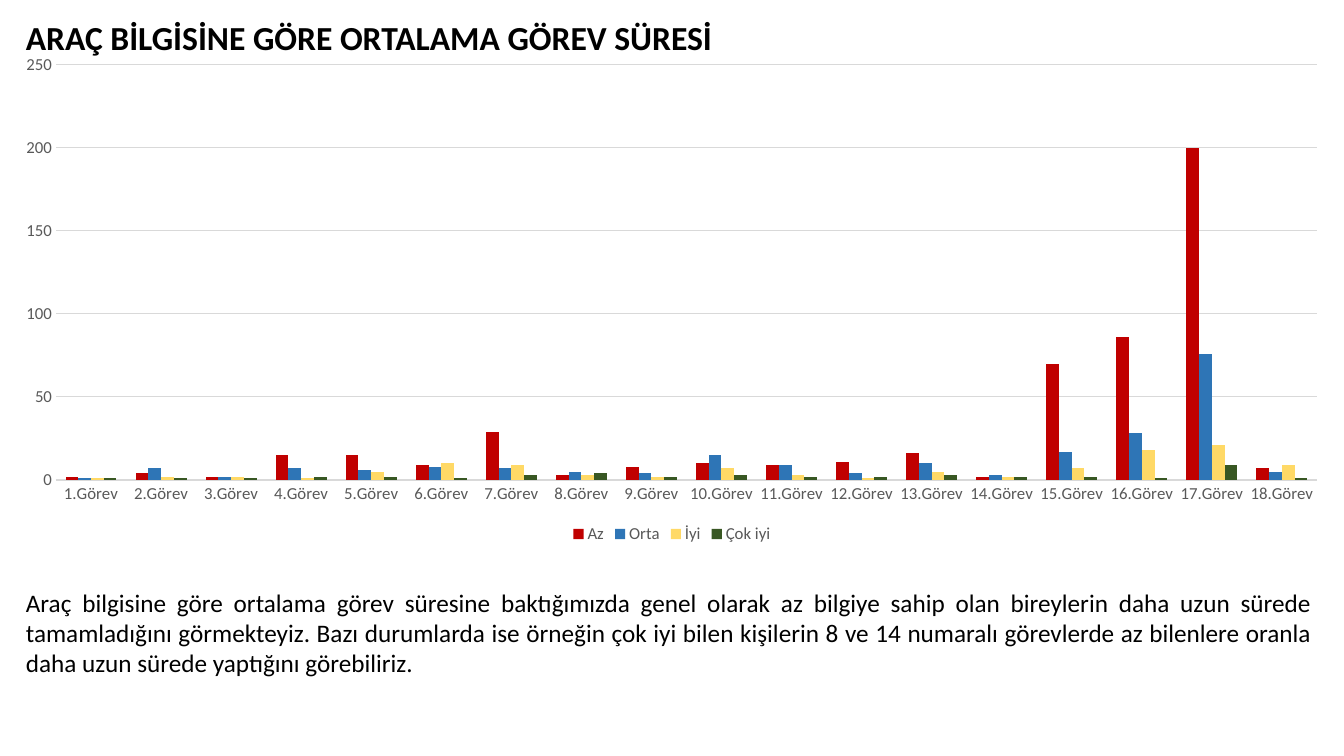
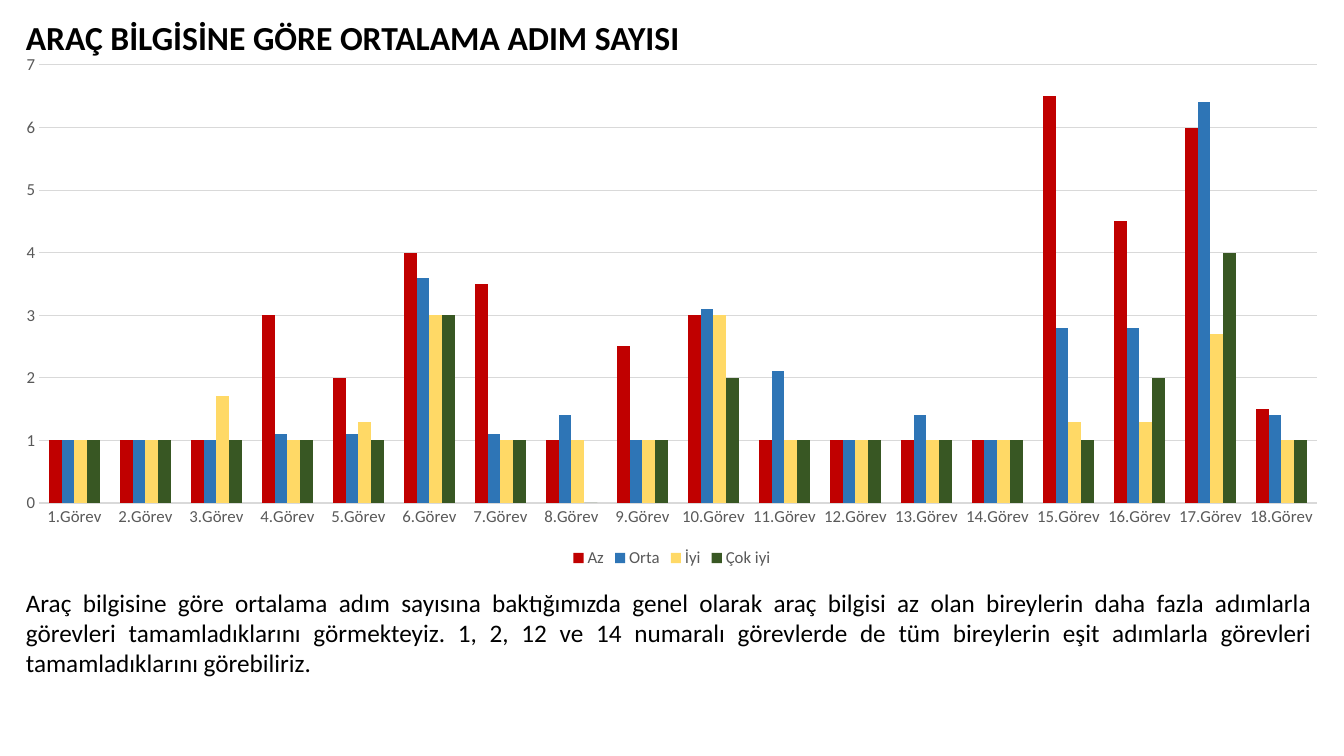
from lxml import etree
from pptx import Presentation
from pptx.chart.data import CategoryChartData
from pptx.dml.color import RGBColor
from pptx.enum.chart import XL_CHART_TYPE, XL_LEGEND_POSITION, XL_TICK_MARK
from pptx.enum.text import MSO_AUTO_SIZE, PP_ALIGN
from pptx.oxml.ns import qn
from pptx.util import Emu, Pt

COLUMNS = XL_CHART_TYPE.COLUMN_CLUSTERED
BOTTOM = XL_LEGEND_POSITION.BOTTOM
NO_TICK = XL_TICK_MARK.NONE
GROW = MSO_AUTO_SIZE.SHAPE_TO_FIT_TEXT
LEFT, JUSTIFY = PP_ALIGN.LEFT, PP_ALIGN.JUSTIFY

FONT = "Calibri"
SLIDE_W, SLIDE_H = 1344, 756
CHART_TOP = 44
PLOT_TOP, PLOT_RIGHT = 65, 1317
COLORS = {
    "text": "000000",
    "label": "595959",
    "grid": "D9D9D9",
    "Az": "C00000",
    "Orta": "2E75B6",
    "İyi": "FFD966",
    "Çok iyi": "385723",
}
TASKS = [f"{n}.Görev" for n in range(1, 19)]

SLIDES = [
    {
        "title": "ARAÇ BİLGİSİNE GÖRE ORTALAMA GÖREV SÜRESİ",
        "body": "Araç bilgisine göre ortalama görev süresine baktığımızda genel olarak "
                "az bilgiye sahip olan bireylerin daha uzun sürede tamamladığını "
                "görmekteyiz. Bazı durumlarda ise örneğin çok iyi bilen kişilerin 8 ve 14 "
                "numaralı görevlerde az bilenlere oranla daha uzun sürede yaptığını "
                "görebiliriz.",
        "height": 504,
        "plot_left": 56,
        "plot_bottom": 480,
        "axis_max": 250,
        "axis_step": 50,
        "series": {
            "Az": [2, 4, 2, 15, 15, 9, 29, 3, 8, 10, 9, 11, 16, 2, 70, 86, 200, 7],
            "Orta": [1, 7, 2, 7, 6, 8, 7, 5, 4, 15, 9, 4, 10, 3, 17, 28, 76, 5],
            "İyi": [1, 2, 2, 1, 5, 10, 9, 3, 2, 7, 3, 1, 5, 2, 7, 18, 21, 9],
            "Çok iyi": [1, 1, 1, 2, 2, 1, 3, 4, 2, 3, 2, 2, 3, 2, 2, 1, 9, 1],
        },
    },
    {
        "title": "ARAÇ BİLGİSİNE GÖRE ORTALAMA ADIM SAYISI",
        "body": "Araç bilgisine göre ortalama adım sayısına baktığımızda genel olarak "
                "araç bilgisi az olan bireylerin daha fazla adımlarla görevleri "
                "tamamladıklarını görmekteyiz. 1, 2, 12 ve 14 numaralı görevlerde de tüm "
                "bireylerin eşit adımlarla görevleri tamamladıklarını görebiliriz.",
        "height": 528,
        "plot_left": 39,
        "plot_bottom": 503,
        "axis_max": 7,
        "axis_step": 1,
        "series": {
            "Az": [1, 1, 1, 3, 2, 4, 3.5, 1, 2.5, 3, 1, 1, 1, 1, 6.5, 4.5, 6, 1.5],
            "Orta": [1, 1, 1, 1.1, 1.1, 3.6, 1.1, 1.4, 1, 3.1, 2.1, 1, 1.4, 1, 2.8, 2.8,
                     6.4, 1.4],
            "İyi": [1, 1, 1.7, 1, 1.3, 3, 1, 1, 1, 3, 1, 1, 1, 1, 1.3, 1.3, 2.7, 1],
            "Çok iyi": [1, 1, 1, 1, 1, 3, 1, 0, 1, 2, 1, 1, 1, 1, 1, 2, 4, 1],
        },
    },
]


def px(n):
    return Emu(round(n * 914400 / 100.8))


def rgb(name):
    return RGBColor.from_string(COLORS[name])


def style_font(font, size, color, bold=False):
    font.name = FONT
    font.size = Pt(size)
    font.bold = bold
    font.color.rgb = rgb(color)


def add_text(slide, text, box, size, align=LEFT, bold=False):
    sp = slide.shapes.add_textbox(*map(px, box))
    tf = sp.text_frame
    tf.word_wrap = True
    tf.auto_size = GROW
    tf.text = text
    p = tf.paragraphs[0]
    p.alignment = align
    style_font(p.runs[0].font, size, "text", bold)


def style_line(line, width):
    line.color.rgb = rgb("grid")
    line.width = Pt(width)


def set_plot_layout(chart, content):
    plot_area = chart.element.find(".//" + qn("c:plotArea"))
    for old in plot_area.findall(qn("c:layout")):
        plot_area.remove(old)
    left, bottom, height = content["plot_left"], content["plot_bottom"], content["height"]
    values = {
        "layoutTarget": "inner",
        "xMode": "edge",
        "yMode": "edge",
        "x": left / SLIDE_W,
        "y": (PLOT_TOP - CHART_TOP) / height,
        "w": (PLOT_RIGHT - left) / SLIDE_W,
        "h": (bottom - PLOT_TOP) / height,
    }
    layout = etree.Element(qn("c:layout"))
    manual = etree.SubElement(layout, qn("c:manualLayout"))
    for tag, value in values.items():
        etree.SubElement(manual, qn("c:" + tag)).set("val", str(value))
    plot_area.insert(0, layout)


def add_column_chart(slide, content):
    data = CategoryChartData()
    data.categories = TASKS
    for name, values in content["series"].items():
        data.add_series(name, values)
    box = (0, CHART_TOP, SLIDE_W, content["height"])
    chart = slide.shapes.add_chart(COLUMNS, *map(px, box), data).chart
    chart.has_title = False
    style_font(chart.font, 10, "text")

    plot = chart.plots[0]
    plot.gap_width = 150
    plot.vary_by_categories = False
    for series in plot.series:
        series.format.fill.solid()
        series.format.fill.fore_color.rgb = rgb(series.name)

    cat_axis, val_axis = chart.category_axis, chart.value_axis
    for axis in (cat_axis, val_axis):
        axis.major_tick_mark = NO_TICK
        axis.minor_tick_mark = NO_TICK
        style_font(axis.tick_labels.font, 12, "label")
    style_line(cat_axis.format.line, 1)
    val_axis.format.line.fill.background()
    val_axis.minimum_scale = 0
    val_axis.maximum_scale = content["axis_max"]
    val_axis.major_unit = content["axis_step"]
    style_line(val_axis.major_gridlines.format.line, 0.75)

    chart.has_legend = True
    chart.legend.position = BOTTOM
    chart.legend.include_in_layout = False
    style_font(chart.legend.font, 12, "label")
    set_plot_layout(chart, content)


def main():
    prs = Presentation()
    prs.slide_width, prs.slide_height = px(SLIDE_W), px(SLIDE_H)
    for content in SLIDES:
        slide = prs.slides.add_slide(prs.slide_layouts[6])
        add_column_chart(slide, content)
        add_text(slide, content["title"], (16, 12, 773, 50), 24, bold=True)
        add_text(slide, content["body"], (16, 582, 1306, 102), 18, JUSTIFY)
    prs.save("out.pptx")


if __name__ == "__main__":
    main()
